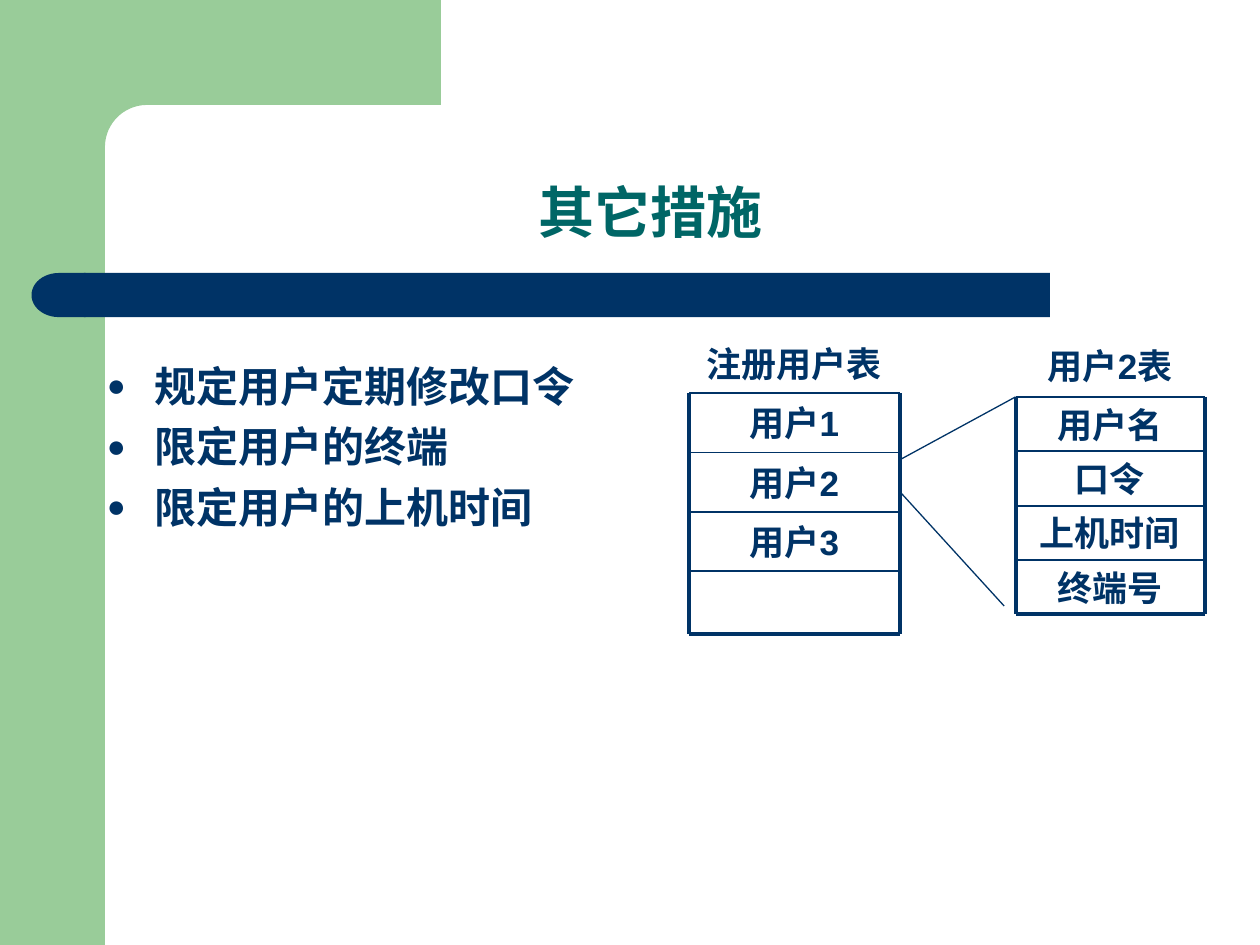
import math

import pptx
import pptx.dml.color
import pptx.enum.shapes
import pptx.enum.text
import pptx.oxml.ns
import pptx.util

TITLE = "其它措施"
MEASURES = ["规定用户定期修改口令", "限定用户的终端", "限定用户的上机时间"]
RECORDS = [
    {"heading": "注册用户表", "rows": ["用户1", "用户2", "用户3", ""],
     "left": 65.64, "width": 20.04, "top": 37.44, "row": 5.66, "bottom": 60.36},
    {"heading": "用户2表", "rows": ["用户名", "口令", "上机时间", "终端号"],
     "left": 96.72, "width": 18, "top": 37.8, "row": 5.18, "bottom": 58.52},
]
HEADING_TOP = 31.8
EXPANSION = [(85.68, 43.8, 96.72, 37.8), (85.68, 46.8, 95.64, 57.72)]

THEME = {
    "font": "Arial", "green": "99CC99", "navy": "003366", "teal": "006666",
    "title": 32, "body": 24, "cell": 20,
    "thin": 0.75, "rule": 1, "frame": 2.25,
}
COLUMNS, ROWS = 120, 90
SHAPES = pptx.enum.shapes.MSO_SHAPE
ANCHORS = pptx.enum.text.MSO_ANCHOR
CENTER = pptx.enum.text.PP_ALIGN.CENTER

deck = pptx.Presentation()
deck.slide_width, deck.slide_height = pptx.util.Inches(10), pptx.util.Inches(7.5)
page = deck.slides.add_slide(deck.slide_layouts[6])
UNIT = deck.slide_width / COLUMNS


def grid(*cells):
    return [round(cell * UNIT) for cell in cells]


def color(name):
    return pptx.dml.color.RGBColor.from_string(THEME[name])


def apply(target, values):
    for name, value in values.items():
        setattr(target, name, value)


def paint(shape, name):
    shape.shadow.inherit = False
    shape.fill.solid()
    shape.fill.fore_color.rgb = color(name)
    shape.line.fill.background()
    return shape


def add_block(kind, area, name):
    return paint(page.shapes.add_shape(kind, *grid(*area)), name)


def add_line(ends, width):
    line = page.shapes.add_connector(pptx.enum.shapes.MSO_CONNECTOR.STRAIGHT, *grid(*ends))
    line.line.color.rgb = color("navy")
    line.line.width = pptx.util.Pt(THEME[width])
    pptx.oxml.ns
    line._element.spPr.append(pptx.oxml.parse_xml(
        f"<a:effectLst {pptx.oxml.ns.nsdecls('a')}/>"))


def add_bullet(para):
    properties = para._p.get_or_add_pPr()
    indent = pptx.util.Inches(0.38)
    properties.set("marL", str(indent))
    properties.set("indent", str(-indent))
    for markup in (f'<a:buClr {{}}><a:srgbClr val="{THEME["navy"]}"/></a:buClr>',
                   '<a:buSzPct {} val="75000"/>',
                   '<a:buFont {} typeface="Arial"/>',
                   '<a:buChar {} char="●"/>'):
        properties.append(pptx.oxml.parse_xml(markup.format(pptx.oxml.ns.nsdecls("a"))))


def add_text(area, lines, size, ink="navy", anchor=ANCHORS.MIDDLE, bullets=False, **layout):
    frame = page.shapes.add_textbox(*grid(*area)).text_frame
    apply(frame, {"word_wrap": True, "vertical_anchor": anchor})
    for index, line in enumerate(lines):
        para = frame.paragraphs[0] if index == 0 else frame.add_paragraph()
        if bullets:
            add_bullet(para)
        if index:
            para.space_before = pptx.util.Pt(6)
        apply(para, layout)
        span = para.add_run()
        span.text = line
        apply(span.font, {"name": THEME["font"], "size": pptx.util.Pt(THEME[size]), "bold": True})
        span.font.color.rgb = color(ink)


def add_corner():
    band, center, radius, right, foot = 10, 14, 4, 42, 15.4
    arc = [(center - radius * math.sin(math.radians(angle)),
            center - radius * math.cos(math.radians(angle))) for angle in range(0, 91, 6)]
    points = [(right, band), *arc, (band, foot), (6, foot), (6, 0)]
    builder = page.shapes.build_freeform(*grid(right, 0))
    builder.add_line_segments([grid(*point) for point in points], close=True)
    paint(builder.convert_to_shape(), "green")


def add_record(heading, rows, left, width, top, row, bottom):
    right = left + width
    add_text((left, HEADING_TOP, width, top - HEADING_TOP), [heading], "cell", alignment=CENTER)
    for index, label in enumerate(rows):
        y = top + index * row
        if label:
            add_text((left, y, width, row), [label], "cell", alignment=CENTER)
        add_line((left, y, right, y), "rule")
    for ends in ((left, top, left, bottom), (right, top, right, bottom),
                 (left, bottom, right, bottom)):
        add_line(ends, "frame")


add_block(SHAPES.RECTANGLE, (0, 0, 10, ROWS), "green")
add_corner()
bar = add_block(SHAPES.ROUNDED_RECTANGLE, (8, 26, 92, 4.2), "navy")
bar.adjustments[0] = 0
cap = add_block(SHAPES.FLOWCHART_DELAY, (3, 26, 5.16, 4.2), "navy")
cap.rotation = 180

add_text((10.9, 10.9, 102.1, 13.1), [TITLE], "title", "teal", ANCHORS.BOTTOM,
         alignment=CENTER, line_spacing=0.9)
add_text((9, 33.7, 74.8, 24.5), MEASURES, "body", anchor=ANCHORS.TOP, bullets=True)
for record in RECORDS:
    add_record(**record)
for ends in EXPANSION:
    add_line(ends, "thin")

deck.save("out.pptx")
